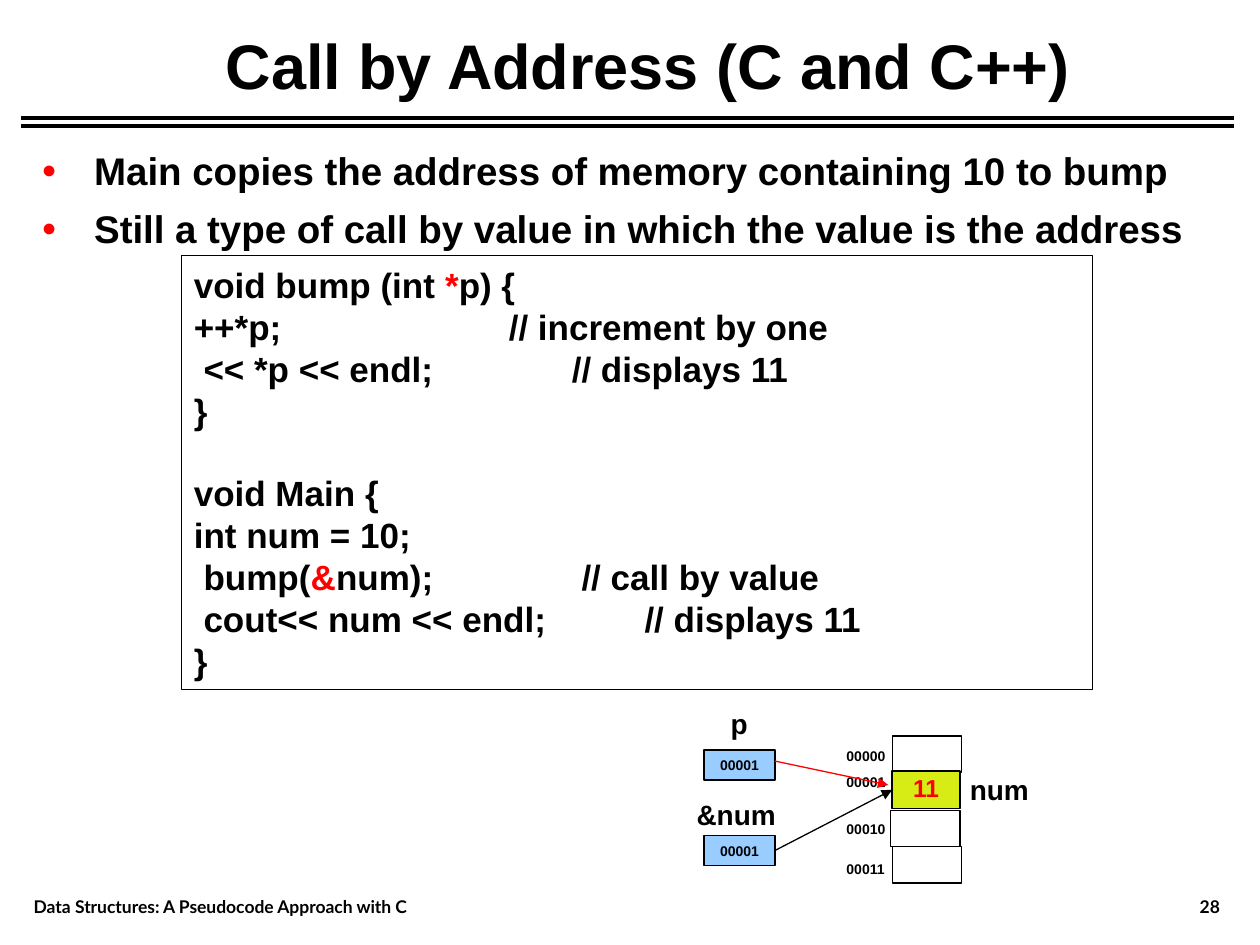
import pptx
import pptx.util
import pptx.dml.color
import pptx.enum.shapes
import pptx.enum.text
import pptx.oxml.ns
from lxml import etree

Pt = pptx.util.Pt
ALIGN = pptx.enum.text.PP_ALIGN
ANCHOR = pptx.enum.text.MSO_ANCHOR
RECTANGLE = pptx.enum.shapes.MSO_SHAPE.RECTANGLE
STRAIGHT = pptx.enum.shapes.MSO_CONNECTOR.STRAIGHT

COLORS = {"black": "000000", "red": "FF0000", "blue": "99CCFF", "lime": "D7EB15"}
RGB = {name: pptx.dml.color.RGBColor.from_string(value) for name, value in COLORS.items()}


def write(shape, lines, size, color="black", font="Arial", align=ALIGN.LEFT,
          anchor=ANCHOR.TOP, wrap=False):
    """Fill a shape with lines, each a list of (text, color or None) spans."""
    frame = shape.text_frame
    frame_format = {"word_wrap": wrap, "vertical_anchor": anchor,
                    "auto_size": pptx.enum.text.MSO_AUTO_SIZE.NONE}
    for name, value in frame_format.items():
        setattr(frame, name, value)
    for index, spans in enumerate(lines):
        para = frame.paragraphs[0] if index == 0 else frame.add_paragraph()
        para.alignment = align
        for text, span_color in spans:
            span = para.add_run()
            span.text = text
            for name, value in {"name": font, "size": Pt(size), "bold": True}.items():
                setattr(span.font, name, value)
            span.font.color.rgb = RGB[span_color or color]
    return frame


def connect(start, end, color="black", width=0.75, arrow=False):
    line = slide.shapes.add_connector(STRAIGHT, *[Pt(value) for value in (*start, *end)])
    line.line.color.rgb = RGB[color]
    line.line.width = Pt(width)
    if arrow:
        etree.SubElement(line.line._get_or_add_ln(), pptx.oxml.ns.qn("a:tailEnd"), type="triangle")
    etree.SubElement(line._element.spPr, pptx.oxml.ns.qn("a:effectLst"))
    return line


deck = pptx.Presentation()
deck.slide_width, deck.slide_height = Pt(720), Pt(540)
slide = deck.slides.add_slide(deck.slide_layouts[1])

# Title and double rule
title = slide.shapes.title
title.left, title.top, title.width, title.height = Pt(121.7), Pt(11.5), Pt(498.2), Pt(50.4)
write(title, [[("Call by Address (C and C++)", None)]], 36)
for y in (67.7, 72):
    connect((12.2, y), (704.9, y), width=2.25)

# Bullets
body = slide.placeholders[1]
body.left, body.top, body.width, body.height = Pt(16.6), Pt(76.3), Pt(676.8), Pt(74)
bullets = write(body, [
    [("Main copies the address of memory containing 10 to bump", None)],
    [("Still a type of call by value in which the value is the address", None)],
], 22, wrap=True)
for index, para in enumerate(bullets.paragraphs):
    para.line_spacing = 1.15
    para.space_before = Pt(3 * index)
    properties = para._p.get_or_add_pPr()
    properties.set("marL", str(Pt(30)))
    properties.set("indent", str(Pt(-30)))
    bullet_color = etree.SubElement(properties, pptx.oxml.ns.qn("a:buClr"))
    etree.SubElement(bullet_color, pptx.oxml.ns.qn("a:srgbClr"), val=COLORS["red"])
    etree.SubElement(properties, pptx.oxml.ns.qn("a:buSzPct"), val="65000")
    etree.SubElement(properties, pptx.oxml.ns.qn("a:buChar"), char="●")

# Boxes: left, top, width, height, fill, line width
code_box, p_box, address_box, *memory_cells, num_cell = boxes = [
    slide.shapes.add_shape(RECTANGLE, *[Pt(value) for value in place])
    for place in [
        (103.7, 146.2, 520.6, 247.7),
        (402.5, 428.4, 40.3, 17.3),
        (402.5, 477.4, 40.3, 17.3),
        (509.8, 420.5, 39.6, 20.9),
        (509, 463, 39.6, 20.9),
        (509.8, 483.8, 39.6, 20.9),
        (509.8, 440.6, 38.9, 21.6),
    ]
]
for box in boxes:
    box.shadow.inherit = False
    box.fill.background()
    box.line.color.rgb = RGB["black"]
    box.line.width = Pt(0.75)

code = write(code_box, [
    [("void bump (int ", None), ("*", "red"), ("p) {", None)],
    [("++*p; \t\t\t\t// increment by one", None)],
    [(" << *p << endl;\t\t\t// displays 11", None)],
    [("}", None)],
    [("void Main {", None)],
    [("int num = 10;", None)],
    [(" bump(", None), ("&", "red"), ("num);\t\t\t // call by value", None)],
    [(" cout<< num << endl;\t\t // displays 11", None)],
    [("}", None)],
], 20, anchor=ANCHOR.MIDDLE, wrap=True)
code.paragraphs[4].space_before = Pt(23)

for box in (p_box, address_box):
    box.fill.solid()
    box.fill.fore_color.rgb = RGB["blue"]
    box.line.width = Pt(1)
    write(box, [[("00001", None)]], 8, align=ALIGN.CENTER, anchor=ANCHOR.MIDDLE, wrap=True)

num_cell.fill.solid()
num_cell.fill.fore_color.rgb = RGB["lime"]
num_text = write(num_cell, [[("11", None)]], 14, "red", align=ALIGN.CENTER,
                 anchor=ANCHOR.MIDDLE, wrap=True)
num_text.paragraphs[0].line_spacing = 0.85

# Labels: text, left, top, width, height, size
labels = [
    ("p", 410.4, 400.3, 23.8, 26.6, 16),
    ("&num", 391, 452.2, 59.8, 26.6, 16),
    ("num", 547.2, 437.8, 48.2, 26.6, 16),
]
for address, top in enumerate((423.4, 438.5, 465.1, 488.2)):
    labels.append((f"{address:05b}", 476.6, top, 36.7, 17.3, 8))
for text, *place, size in labels:
    label = slide.shapes.add_textbox(*[Pt(value) for value in place])
    write(label, [[(text, None)]], size)

# Pointers into memory
connect((442.8, 434.9), (507.6, 448.6), "red", arrow=True)
address_arrow = connect((442.8, 486), (509.8, 451.4), arrow=True)
address_arrow.begin_connect(address_box, 3)
address_arrow.end_connect(num_cell, 1)

# Footer
for text, left, width, align in [
    ("Data Structures: A Pseudocode Approach with C", 12.2, 378, ALIGN.LEFT),
    ("28", 554.4, 149.8, ALIGN.RIGHT),
]:
    footer = slide.shapes.add_textbox(Pt(left), Pt(491.8), Pt(width), Pt(36))
    write(footer, [[(text, None)]], 10, font="Lato", align=align, anchor=ANCHOR.BOTTOM, wrap=True)

deck.save("out.pptx")
